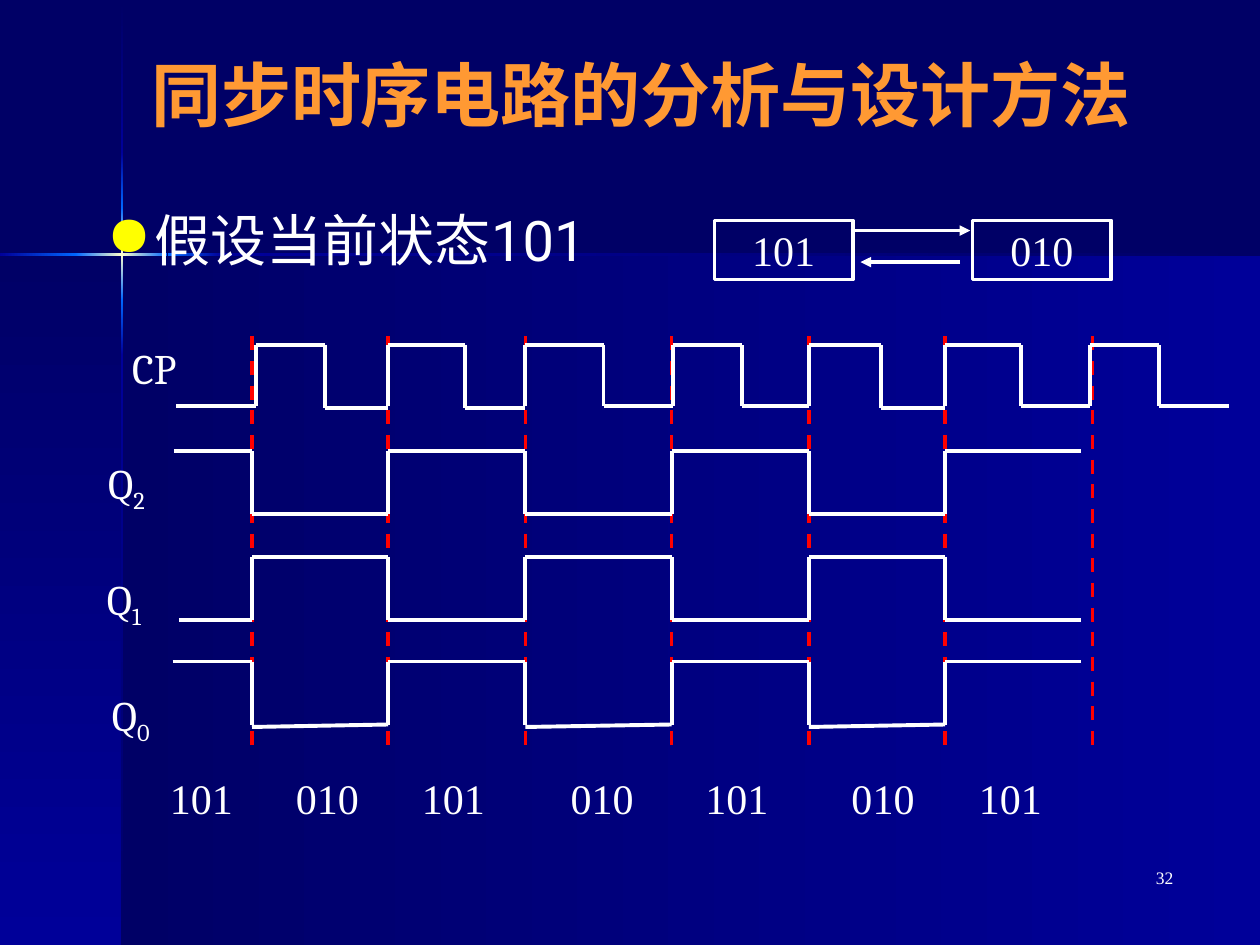
"""Build the synchronous sequential circuit timing slide."""
from copy import deepcopy
from dataclasses import dataclass
from itertools import pairwise
from typing import Any

from pptx import Presentation
from pptx.dml.color import RGBColor
from pptx.enum.dml import MSO_LINE_DASH_STYLE as Dash
from pptx.enum.shapes import MSO_CONNECTOR as Connector, MSO_SHAPE as Preset
from pptx.enum.text import MSO_ANCHOR as Anchor, MSO_AUTO_SIZE as AutoSize, PP_ALIGN as Align
from pptx.oxml.ns import qn
from pptx.oxml.xmlchemy import OxmlElement
from pptx.util import Inches, Pt

COLORS = {
    "navy": "000066", "blue": "000099", "azure": "0066FF", "cream": "FFFFCC",
    "orange": "FF9933", "yellow": "FFFF00", "white": "FFFFFF", "red": "FF0000",
}
SERIF = {"name": "Times New Roman", "size": Pt(24)}
LABEL = {"name": "Cambria", "size": Pt(24)}
TITLE = {"name": "Roboto", "size": Pt(40), "bold": True}
BODY = {"name": "Roboto", "size": Pt(32)}
NUMBER = {"name": "Times New Roman", "size": Pt(10)}
FIT = {"word_wrap": False, "auto_size": AutoSize.SHAPE_TO_FIT_TEXT}
WRAP = {"word_wrap": True}
MIDDLE = {"vertical_anchor": Anchor.MIDDLE}


@dataclass(frozen=True)
class Band:
    left: float
    top: float
    width: float
    height: float
    colors: tuple[str, ...]
    vertical: bool = False


@dataclass(frozen=True)
class Pulse:
    rise: float
    fall: float
    low: float = 3.22


@dataclass(frozen=True)
class Signal:
    index: str
    label_left: float
    label_top: float
    start: float
    high: float
    low: float
    first_bit: int
    droop: float = 0


@dataclass(frozen=True)
class State:
    left: float
    text: str


BANDS = [
    Band(0.97, 2.02, 9.03, 5.48, ("navy", "blue")),
    Band(0, 2.02, 0.97, 5.48, ("navy", "blue"), True),
    Band(0.96, 0.01, 0.02, 1.21, ("navy", "blue"), True),
    Band(0.96, 2.82, 0.02, 4.68, ("blue", "navy"), True),
    Band(1.77, 2.01, 8.23, 0.02, ("blue", "navy")),
    Band(0.96, 2.38, 0.02, 0.44, ("azure", "blue"), True),
    Band(0.96, 1.21, 0.02, 0.44, ("blue", "azure"), True),
    Band(0.96, 1.65, 0.02, 0.73, ("azure", "cream", "azure"), True),
    Band(0, 2.01, 0.61, 0.02, ("blue", "azure")),
    Band(1.33, 2.01, 0.44, 0.02, ("azure", "blue")),
    Band(0.6, 2.01, 0.73, 0.02, ("azure", "cream", "azure")),
]
CLOCK_EDGES = [2, 3.08, 4.17, 5.33, 6.42, 7.5, 8.67]
CLOCK_HIGH, CLOCK_START, CLOCK_END, SIGNAL_END = 2.74, 1.4, 9.75, 8.58
PULSES = [
    Pulse(2.03, 2.58, 3.24), Pulse(3.08, 3.69, 3.24), Pulse(4.17, 4.79),
    Pulse(5.34, 5.89), Pulse(6.42, 6.99, 3.24), Pulse(7.5, 8.1), Pulse(8.65, 9.2),
]
SIGNALS = [
    Signal("2", 0.76, 3.58, 1.38, 3.58, 4.08, 1),
    Signal("1", 0.75, 4.5, 1.42, 4.42, 4.92, 0),
    Signal("0", 0.79, 5.42, 1.37, 5.25, 5.75, 1, 0.02),
]
STATE_LEFTS = [1.25, 2.25, 3.25, 4.43, 5.5, 6.66, 7.67]
BOXES = [State(5.67, "101"), State(7.72, "010")]


def rgb(name: str) -> RGBColor:
    """Return a named colour."""
    return RGBColor.from_string(COLORS[name])


def apply(target: Any, values: dict[str, Any]) -> None:
    """Set each format value on the target."""
    for name, value in values.items():
        setattr(target, name, value)


def style_font(font: Any, values: dict[str, Any], color: str = "white") -> None:
    """Format a font and colour it."""
    apply(font, values)
    font.color.rgb = rgb(color)


def draw_band(slide: Any, band: Band) -> None:
    """Draw a rectangle with an even gradient."""
    shape = slide.shapes.add_shape(
        Preset.RECTANGLE, *map(Inches, (band.left, band.top, band.width, band.height)))
    shape.shadow.inherit = False
    shape.line.fill.background()
    shape.fill.gradient()
    shape.fill.gradient_angle = 270 if band.vertical else 0
    if len(band.colors) == 3:
        stops = next(shape._element.spPr.iter(qn("a:gsLst")))
        stops.insert(1, deepcopy(stops[0]))
    for index, (stop, color) in enumerate(zip(shape.fill.gradient_stops, band.colors)):
        stop.position = index / (len(band.colors) - 1)
        stop.color.rgb = rgb(color)


def draw_line(slide: Any, start: tuple[float, float], end: tuple[float, float],
              width: float = 2.25, color: str = "white", arrow: bool = False) -> Any:
    """Draw a straight line, with an arrowhead if wanted."""
    connector = slide.shapes.add_connector(Connector.STRAIGHT, *map(Inches, start + end))
    connector.line.color.rgb = rgb(color)
    connector.line.width = Pt(width)
    if arrow:
        head = OxmlElement("a:tailEnd")
        head.set("type", "triangle")
        connector.line._get_or_add_ln().append(head)
    connector._element.spPr.append(OxmlElement("a:effectLst"))
    return connector


def draw_text(slide: Any, box: tuple[float, ...], text: str, font: dict[str, Any],
              frame: dict[str, Any], color: str = "white", align: Any = Align.LEFT) -> Any:
    """Add a text box and return its paragraph."""
    text_frame = slide.shapes.add_textbox(*map(Inches, box)).text_frame
    apply(text_frame, frame)
    paragraph = text_frame.paragraphs[0]
    paragraph.alignment = align
    run = paragraph.add_run()
    run.text = text
    style_font(run.font, font, color)
    return paragraph


def add_bullet(paragraph: Any) -> None:
    """Give a paragraph a yellow round bullet."""
    properties = paragraph._p.get_or_add_pPr()
    apply_indent = {"marL": Inches(0.38), "indent": Inches(-0.38)}
    for name, value in apply_indent.items():
        properties.set(name, str(value))
    color, fill, bullet = map(OxmlElement, ("a:buClr", "a:srgbClr", "a:buChar"))
    fill.set("val", COLORS["yellow"])
    color.append(fill)
    bullet.set("char", "●")
    properties.extend([color, bullet])


def draw_state_box(slide: Any, state: State) -> None:
    """Draw an outlined state box."""
    shape = slide.shapes.add_shape(
        Preset.RECTANGLE, *map(Inches, (state.left, 1.75, 1.1, 0.47)))
    shape.shadow.inherit = False
    shape.fill.background()
    shape.line.color.rgb = rgb("white")
    shape.line.width = Pt(2)
    apply(shape.text_frame, MIDDLE | {"word_wrap": False})
    paragraph = shape.text_frame.paragraphs[0]
    paragraph.text = state.text
    paragraph.alignment = Align.CENTER
    style_font(paragraph.runs[0].font, SERIF)


def draw_clock(slide: Any) -> None:
    """Draw the clock label and pulses."""
    draw_text(slide, (0.95, 2.67, 0.6, 0.5), "CP", LABEL, FIT)
    draw_line(slide, (CLOCK_START, 3.22), (PULSES[0].rise, 3.22))
    ends = [pulse.rise for pulse in PULSES[1:]] + [CLOCK_END]
    for pulse, end in zip(PULSES, ends):
        draw_line(slide, (pulse.rise, 3.22), (pulse.rise, CLOCK_HIGH))
        draw_line(slide, (pulse.rise, CLOCK_HIGH), (pulse.fall, CLOCK_HIGH))
        draw_line(slide, (pulse.fall, CLOCK_HIGH), (pulse.fall, pulse.low))
        draw_line(slide, (pulse.fall, pulse.low), (end, pulse.low))


def draw_signal(slide: Any, signal: Signal) -> None:
    """Draw a flip-flop label and its toggling wave."""
    paragraph = draw_text(
        slide, (signal.label_left, signal.label_top, 0.55, 0.56), "Q", LABEL, FIT)
    run = paragraph.add_run()
    run.text = signal.index
    style_font(run.font, LABEL)
    run.font._element.set("baseline", "-25000")
    times = [signal.start, *CLOCK_EDGES[:-1], SIGNAL_END]
    for step, (start, end) in enumerate(pairwise(times)):
        is_high = (signal.first_bit + step) % 2
        level = signal.high if is_high else signal.low
        droop = 0 if is_high or step == 0 else signal.droop
        draw_line(slide, (start, level + droop), (end, level))
        if step:
            draw_line(slide, (start, signal.high), (start, signal.low))


def main() -> None:
    """Build and save the presentation."""
    presentation = Presentation()
    apply(presentation, {"slide_width": Inches(10), "slide_height": Inches(7.5)})
    slide = presentation.slides.add_slide(presentation.slide_layouts[6])
    slide.background.fill.solid()
    slide.background.fill.fore_color.rgb = rgb("navy")
    for band in BANDS:
        draw_band(slide, band)
    draw_text(slide, (7.33, 6.83, 2.08, 0.5), "32", NUMBER, WRAP, align=Align.RIGHT)
    draw_text(slide, (0.5, 0.33, 9.17, 0.83), "同步时序电路的分析与设计方法",
              TITLE, WRAP | MIDDLE, "orange", Align.CENTER)
    add_bullet(draw_text(slide, (0.75, 1.58, 8.67, 5.08), "假设当前状态101", BODY, WRAP))
    for edge in CLOCK_EDGES:
        guide = draw_line(slide, (edge, 2.67), (edge, 5.94), 2, "red")
        guide.line.dash_style = Dash.DASH
    draw_clock(slide)
    for signal in SIGNALS:
        draw_signal(slide, signal)
    for index, left in enumerate(STATE_LEFTS):
        draw_text(slide, (left, 6.08, 0.7, 0.5), BOXES[index % 2].text, SERIF, FIT)
    for state in BOXES:
        draw_state_box(slide, state)
    draw_line(slide, (6.75, 1.83), (7.7, 1.83), 2, arrow=True)
    draw_line(slide, (7.62, 2.08), (6.83, 2.08), 2, arrow=True)
    presentation.save("out.pptx")


if __name__ == "__main__":
    main()
